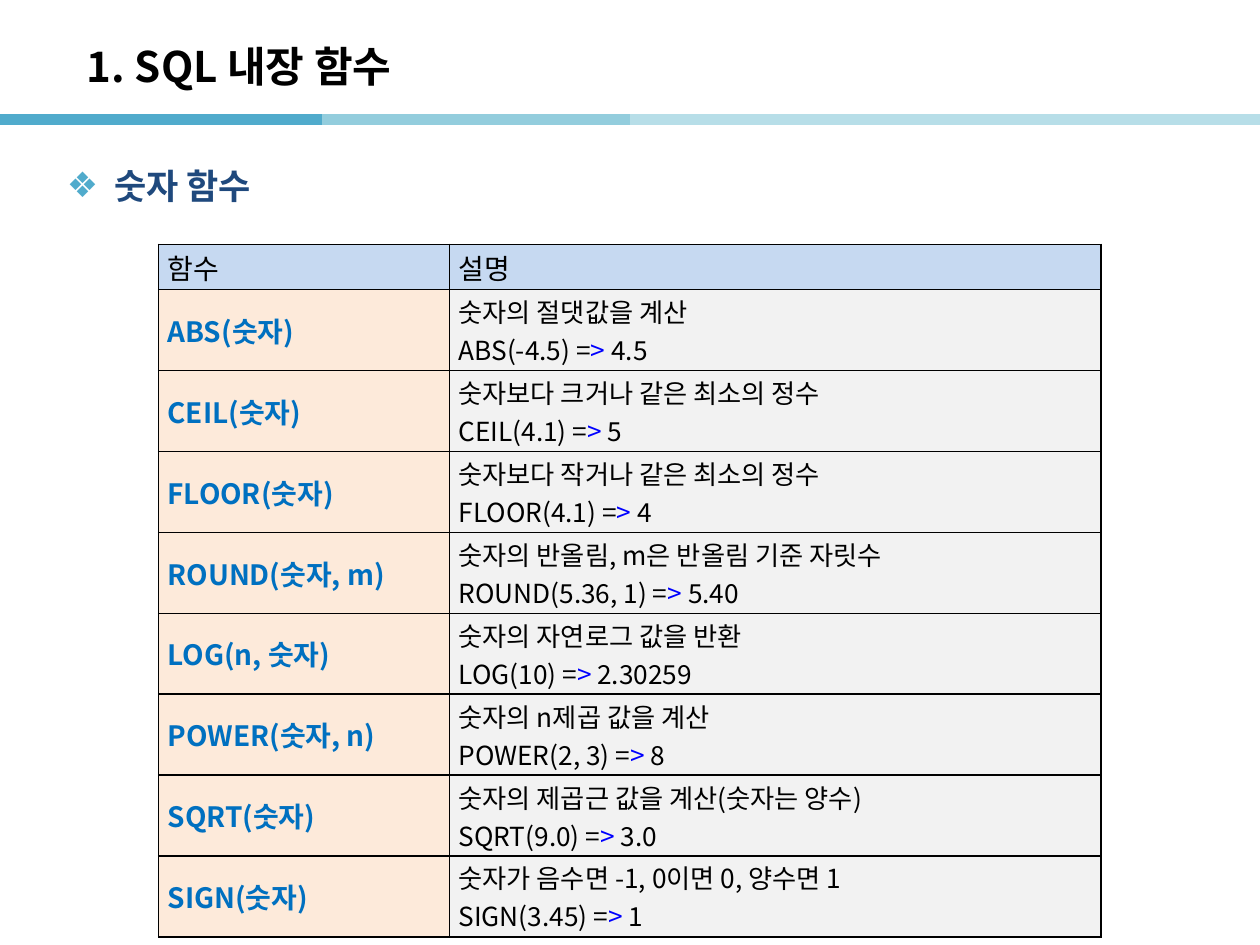
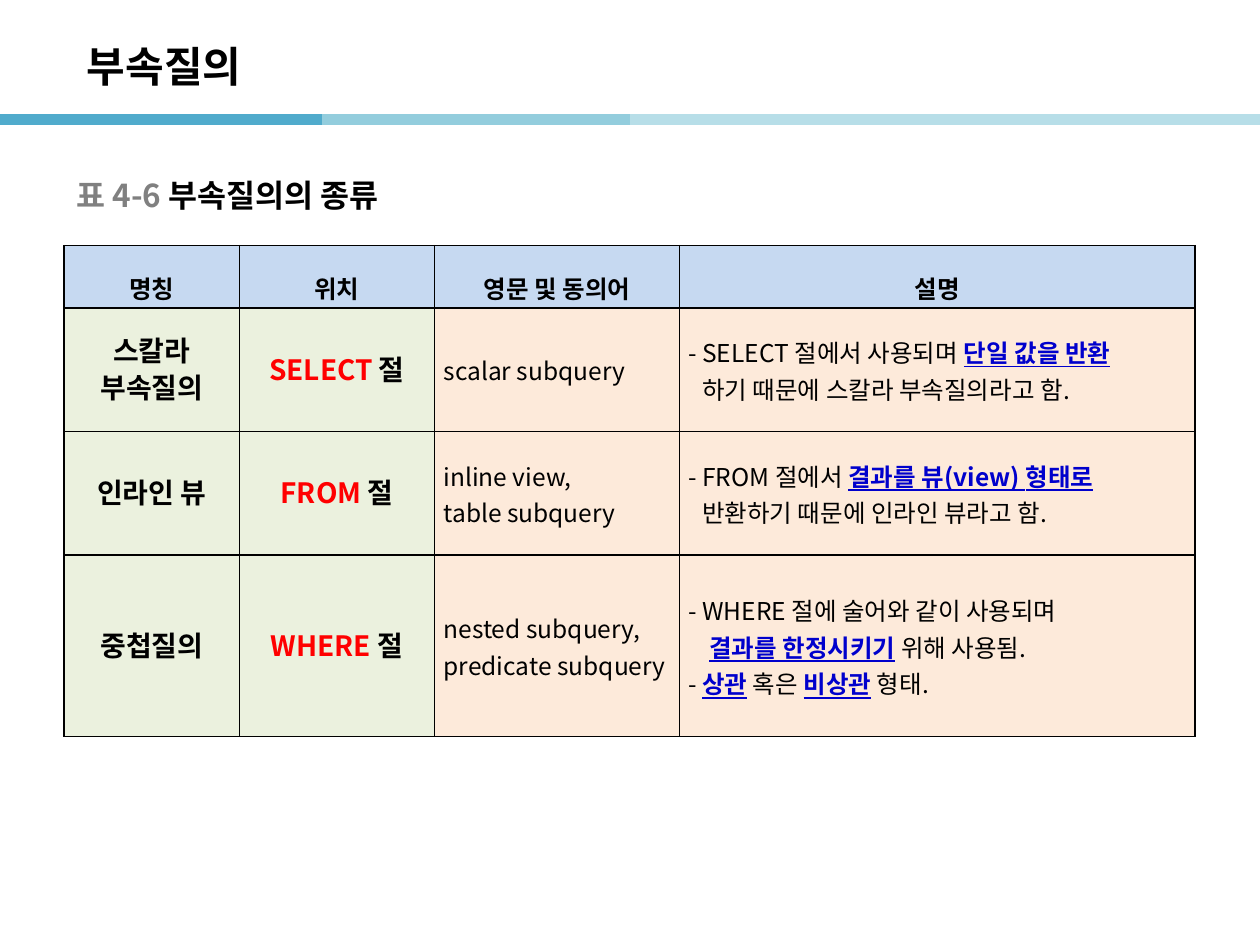
from lxml.etree import SubElement
from pptx import Presentation
from pptx.dml.color import RGBColor
from pptx.enum.shapes import MSO_CONNECTOR
from pptx.enum.text import MSO_ANCHOR, MSO_AUTO_SIZE, PP_ALIGN
from pptx.oxml.ns import qn
from pptx.util import Pt

FONT = "Noto Sans CJK KR"
BLACK, BLUE, GRAY = "000000", "50ABCC", "808080"
HEADER, PEACH, PALE_GRAY, PALE_GREEN = "C6D9F1", "FDEADA", "F2F2F2", "EBF1DE"

BAND_TOP, BAND_LENGTH = 68.4, 184
BANDS = [(0, BLUE), (184, "93CDDD"), (360, "B7DEE8"), (536, "B7DEE8")]

STYLES = {
    "title": dict(size=24, bold=True),
    "topic": dict(size=20, bold=True, color="1F497D"),
    "number": dict(size=18, bold=True, color=GRAY),
    "caption": dict(size=18, bold=True),
    "heading": dict(size=16),
    "function": dict(size=16, bold=True, color="0070C0"),
    "plain": dict(size=15),
    "arrow": dict(size=15, color="0000FF"),
    "column": dict(size=14, bold=True),
    "name": dict(size=16, bold=True),
    "clause": dict(size=16, bold=True, color="FF0000"),
    "text": dict(size=14),
    "key": dict(size=14, bold=True, color="0000CC", underline=True),
}

FUNCTIONS_TITLE, FUNCTIONS_TOPIC = "1. SQL 내장 함수", "숫자 함수"
FUNCTION_HEADINGS = ["함수", "설명"]
FUNCTIONS = [
    ("ABS(숫자)", "숫자의 절댓값을 계산", "ABS(-4.5)", "4.5"),
    ("CEIL(숫자)", "숫자보다 크거나 같은 최소의 정수", "CEIL(4.1)", "5"),
    ("FLOOR(숫자)", "숫자보다 작거나 같은 최소의 정수", "FLOOR(4.1)", "4"),
    ("ROUND(숫자, m)", "숫자의 반올림, m은 반올림 기준 자릿수", "ROUND(5.36, 1)", "5.40"),
    ("LOG(n, 숫자)", "숫자의 자연로그 값을 반환", "LOG(10)", "2.30259"),
    ("POWER(숫자, n)", "숫자의 n제곱 값을 계산", "POWER(2, 3)", "8"),
    ("SQRT(숫자)", "숫자의 제곱근 값을 계산(숫자는 양수)", "SQRT(9.0)", "3.0"),
    ("SIGN(숫자)", "숫자가 음수면 -1, 0이면 0, 양수면 1", "SIGN(3.45)", "1"),
]

SUBQUERY_TITLE = "부속질의"
SUBQUERY_CAPTION = [("표 4-6 ", "number"), ("부속질의의 종류", "caption")]
SUBQUERY_HEADINGS = ["명칭", "위치", "영문 및 동의어", "설명"]
SUBQUERIES = [
    (["스칼라", "부속질의"], "SELECT", ["scalar subquery"], [
        (0, [("- SELECT 절에서 사용되며 ", "text"), ("단일 값을 반환", "key")]),
        (8, [("하기 때문에 스칼라 부속질의라고 함.", "text")])]),
    (["인라인 뷰"], "FROM", ["inline view,", "table subquery"], [
        (0, [("- FROM 절에서 ", "text"), ("결과를 뷰(view) 형태로", "key")]),
        (8, [("반환하기 때문에 인라인 뷰라고 함.", "text")])]),
    (["중첩질의"], "WHERE", ["nested subquery,", "predicate subquery"], [
        (0, [("- WHERE 절에 술어와 같이 사용되며", "text")]),
        (12, [("결과를 한정시키기", "key"), (" 위해 사용됨.", "text")]),
        (0, [("- ", "text"), ("상관", "key"), (" 혹은 ", "text"),
             ("비상관", "key"), (" 형태.", "text")])]),
]


def rgb(color):
    """Turn a hex string into a colour."""
    return RGBColor.from_string(color)


def place(shape, left, top, width, height):
    """Move and size a shape, in points."""
    shape.left, shape.top, shape.width, shape.height = map(Pt, (left, top, width, height))


def write(paragraph, runs, align=PP_ALIGN.LEFT, after=0, spacing=None, indent=0):
    """Fill a paragraph with styled runs."""
    paragraph.alignment = align
    paragraph.space_before, paragraph.space_after = Pt(0), Pt(after)
    if spacing:
        paragraph.line_spacing = spacing
    if indent:
        paragraph._p.get_or_add_pPr().set("marL", str(Pt(indent)))
    for text, style in runs:
        look = STYLES[style]
        run = paragraph.add_run()
        run.text = text
        run.font.size = Pt(look["size"])
        run.font.bold = look.get("bold", False)
        run.font.underline = look.get("underline", False)
        run.font.color.rgb = rgb(look.get("color", BLACK))
        run.font.name = FONT
        SubElement(run._r.get_or_add_rPr(), qn("a:ea"), typeface=FONT)


def write_frame(frame, runs):
    """Write one vertically centred paragraph into a text frame."""
    frame.auto_size = MSO_AUTO_SIZE.NONE
    frame.vertical_anchor = MSO_ANCHOR.MIDDLE
    write(frame.paragraphs[0], runs)


def add_border(cell):
    """Draw a thin black line on each side of a cell."""
    properties = cell._tc.get_or_add_tcPr()
    for index, side in enumerate(("lnL", "lnR", "lnT", "lnB")):
        line = properties.makeelement(qn(f"a:{side}"), {"w": str(Pt(1))})
        fill = SubElement(line, qn("a:solidFill"))
        SubElement(fill, qn("a:srgbClr"), val=BLACK)
        properties.insert(index, line)


def add_grid(slide, left, top, widths, heights, rows):
    """Build a table from rows of (fill, paragraphs) cells."""
    table = slide.shapes.add_table(len(heights), len(widths), Pt(left), Pt(top),
                                   Pt(sum(widths)), Pt(sum(heights))).table
    table.first_row = table.horz_banding = False
    for column, width in zip(table.columns, widths):
        column.width = Pt(width)
    for row, height, contents in zip(table.rows, heights, rows):
        row.height = Pt(height)
        for cell, (fill, paragraphs) in zip(row.cells, contents):
            cell.fill.solid()
            cell.fill.fore_color.rgb = rgb(fill)
            add_border(cell)
            cell.vertical_anchor = MSO_ANCHOR.MIDDLE
            cell.margin_left = cell.margin_right = Pt(5.1)
            cell.margin_top = cell.margin_bottom = Pt(1.4)
            frame = cell.text_frame
            for index, options in enumerate(paragraphs):
                write(frame.add_paragraph() if index else frame.paragraphs[0], **options)


def add_bands(deck, slide):
    """Draw the title bands and hand them to the master."""
    first = deck.slide_master.placeholders[0].element
    for number, (left, color) in enumerate(BANDS, 100):
        band = slide.shapes.add_connector(MSO_CONNECTOR.STRAIGHT, Pt(left), Pt(BAND_TOP),
                                          Pt(left + BAND_LENGTH), Pt(BAND_TOP))
        band.line.color.rgb = rgb(color)
        band.line.width = Pt(6)
        SubElement(band.element.spPr, qn("a:effectLst"))
        band.element.xpath("./p:nvCxnSpPr/p:cNvPr")[0].set("id", str(number))
        first.addprevious(band.element)


def add_slide(deck, layout, title):
    """Add a slide with the shared title style."""
    slide = deck.slides.add_slide(deck.slide_layouts.get_by_name(layout))
    place(slide.shapes.title, 42.5, 15.8, 595.4, 43.2)
    write_frame(slide.shapes.title.text_frame, [(title, "title")])
    return slide


def add_topic(slide, topic):
    """Put the bulleted topic into the body placeholder."""
    body = slide.placeholders[1]
    place(body, 31, 85.7, 635, 41)
    write_frame(body.text_frame, [(topic, "topic")])
    properties = body.text_frame.paragraphs[0]._p.get_or_add_pPr()
    properties.set("marL", str(Pt(27)))
    properties.set("indent", str(Pt(-27)))
    SubElement(SubElement(properties, qn("a:buClr")), qn("a:srgbClr"), val=BLUE)
    SubElement(properties, qn("a:buChar"), char="❖")


def function_rows():
    """Lay out the header and one row for each function."""
    justify = PP_ALIGN.JUSTIFY
    yield [(HEADER, [dict(runs=[(heading, "heading")], align=justify, after=3)])
           for heading in FUNCTION_HEADINGS]
    for function, meaning, call, value in FUNCTIONS:
        example = [(f"{call} =", "plain"), ("> ", "arrow"), (value, "plain")]
        yield [(PEACH, [dict(runs=[(function, "function")], after=3)]),
               (PALE_GRAY, [dict(runs=[(meaning, "plain")], align=justify),
                            dict(runs=example, align=justify)])]


def subquery_rows():
    """Lay out the header and one row for each subquery."""
    center, spacing = PP_ALIGN.CENTER, Pt(21)
    yield [(HEADER, [dict(runs=[(heading, "column")], align=center, spacing=1.6)])
           for heading in SUBQUERY_HEADINGS]
    for names, clause, synonyms, notes in SUBQUERIES:
        position = [(f"{clause} ", "clause"), ("절", "name")]
        yield [
            (PALE_GREEN, [dict(runs=[(name, "name")], align=center, spacing=spacing)
                          for name in names]),
            (PALE_GREEN, [dict(runs=position, align=center, spacing=spacing)]),
            (PEACH, [dict(runs=[(synonym, "text")], spacing=spacing) for synonym in synonyms]),
            (PEACH, [dict(runs=runs, spacing=spacing, indent=indent) for indent, runs in notes]),
        ]


def main():
    """Build and save both slides."""
    deck = Presentation()
    deck.slide_width, deck.slide_height = Pt(720), Pt(540)

    functions = add_slide(deck, "Title and Content", FUNCTIONS_TITLE)
    add_bands(deck, functions)
    add_topic(functions, FUNCTIONS_TOPIC)
    add_grid(functions, 90.7, 139.7, [166.3, 372.3],
             [24] + [41.7] * len(FUNCTIONS), function_rows())

    subqueries = add_slide(deck, "Title Only", SUBQUERY_TITLE)
    add_grid(subqueries, 36.7, 140.4, [100.1, 111.6, 139.8, 294.7],
             [31.7, 70.7, 70.7, 103.7], subquery_rows())
    caption = subqueries.shapes.add_textbox(Pt(36.7), Pt(100), Pt(150.5), Pt(22.3))
    caption.text_frame.word_wrap = False
    write_frame(caption.text_frame, SUBQUERY_CAPTION)

    deck.save("out.pptx")


if __name__ == "__main__":
    main()
